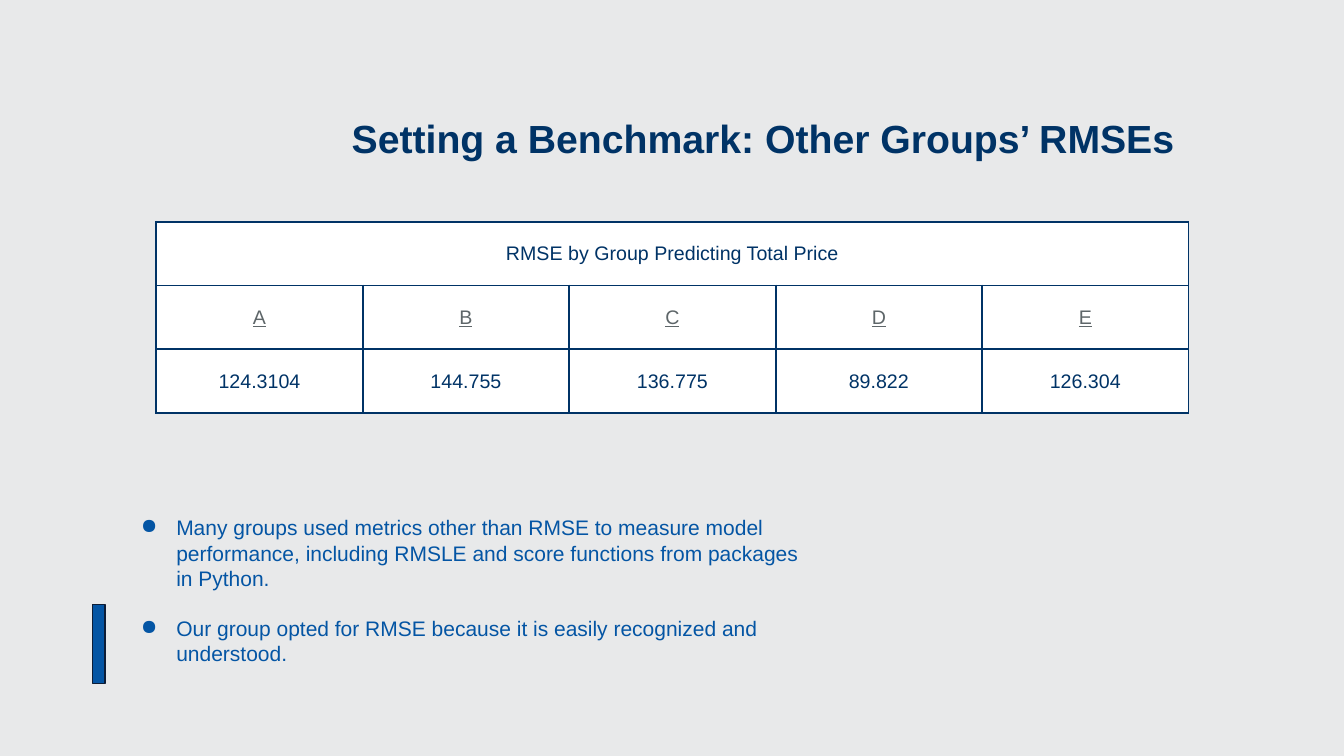
from lxml.etree import SubElement
from pptx import Presentation
from pptx.dml.color import RGBColor
from pptx.enum.shapes import MSO_SHAPE
from pptx.enum.text import MSO_ANCHOR, PP_ALIGN
from pptx.oxml.ns import qn
from pptx.util import Inches, Pt

NAVY, BLUE, GREY = "003366", "0455A4", "5E6669"
OUTLINE, WHITE, BACKGROUND = "0D1D36", "FFFFFF", "E8E9EA"

TABLE_TITLE = "RMSE by Group Predicting Total Price"
GROUP_ERRORS = {"A": "124.3104", "B": "144.755", "C": "136.775",
                "D": "89.822", "E": "126.304"}
REMARKS = [
    "Many groups used metrics other than RMSE to measure model performance, "
    "including RMSLE and score functions from packages in Python.",
    "Our group opted for RMSE because it is easily recognized and understood.",
]


def color(value):
    return RGBColor.from_string(value)


def paint(target, value):
    target.fill.solid()
    target.fill.fore_color.rgb = color(value)


def set_font(para, size, value, bold=False, underline=False):
    font = para.font
    font.name, font.size = "Arial", Pt(size)
    font.bold, font.underline = bold, underline
    font.color.rgb = color(value)


def add_text_frame(page, box, inset):
    """Add a wrapping text box with the given vertical inset in inches."""
    frame = page.shapes.add_textbox(*map(Inches, box)).text_frame
    frame.word_wrap = True
    frame.margin_top = frame.margin_bottom = Inches(inset)
    return frame


def add_title(page, box):
    para = add_text_frame(page, box, 0.1).paragraphs[0]
    para.text = "Setting a Benchmark: Other Groups’ RMSEs"
    set_font(para, 28, NAVY, bold=True)


def add_accent_bar(page, box):
    bar = page.shapes.add_shape(MSO_SHAPE.RECTANGLE, *map(Inches, box))
    bar.shadow.inherit = False
    paint(bar, BLUE)
    bar.line.color.rgb = color(OUTLINE)
    bar.line.width = Pt(1)


def add_bullet(para):
    properties = para._p.get_or_add_pPr()
    properties.set("marL", str(Inches(0.5)))
    properties.set("indent", str(Inches(-0.35)))
    bullet_color = SubElement(properties, qn("a:buClr"))
    SubElement(bullet_color, qn("a:srgbClr"), val=BLUE)
    SubElement(properties, qn("a:buChar"), char="●")


def add_remarks(page, box):
    frame = add_text_frame(page, box, 0.05)
    for index, remark in enumerate(REMARKS):
        para = frame.add_paragraph() if index else frame.paragraphs[0]
        para.text = remark
        para.line_spacing = Pt(18)
        if index:
            para.space_before = Pt(18)
        add_bullet(para)
        set_font(para, 15, BLUE)


def add_borders(cell):
    properties = cell._tc.get_or_add_tcPr()
    for position, side in enumerate(("lnL", "lnR", "lnT", "lnB")):
        line = properties.makeelement(qn(f"a:{side}"), {"w": str(Pt(1.5))})
        properties.insert(position, line)
        fill = SubElement(line, qn("a:solidFill"))
        SubElement(fill, qn("a:srgbClr"), val=NAVY)


def style_cell(cell, text, value, underline):
    cell.vertical_anchor = MSO_ANCHOR.MIDDLE
    cell.margin_left = cell.margin_right = Inches(0.1)
    cell.margin_top = cell.margin_bottom = Inches(0.1)
    paint(cell, WHITE)
    add_borders(cell)
    para = cell.text_frame.paragraphs[0]
    para.text = text
    para.alignment = PP_ALIGN.CENTER
    set_font(para, 14, value, underline=underline)


def add_error_table(page, box):
    count = len(GROUP_ERRORS)
    rows = [
        ([TABLE_TITLE] + [""] * (count - 1), NAVY, False),
        (GROUP_ERRORS.keys(), GREY, True),
        (GROUP_ERRORS.values(), NAVY, False),
    ]
    table = page.shapes.add_table(len(rows), count, *map(Inches, box)).table
    table.first_row = table.horz_banding = False
    for row, (texts, value, underline) in enumerate(rows):
        for column, text in enumerate(texts):
            style_cell(table.cell(row, column), text, value, underline)
    table.cell(0, 0).merge(table.cell(0, count - 1))


def main():
    deck = Presentation()
    deck.slide_width, deck.slide_height = Inches(13.33), Inches(7.5)
    page = deck.slides.add_slide(deck.slide_layouts[6])
    paint(page.background, BACKGROUND)
    add_accent_bar(page, (0.92, 6, 0.12, 0.78))
    add_remarks(page, (1.15, 5.06, 6.95, 1.87))
    add_error_table(page, (1.55, 2.2, 10.24, 1.9))
    add_title(page, (3.39, 1.03, 8.75, 0.67))
    deck.save("out.pptx")


if __name__ == "__main__":
    main()
